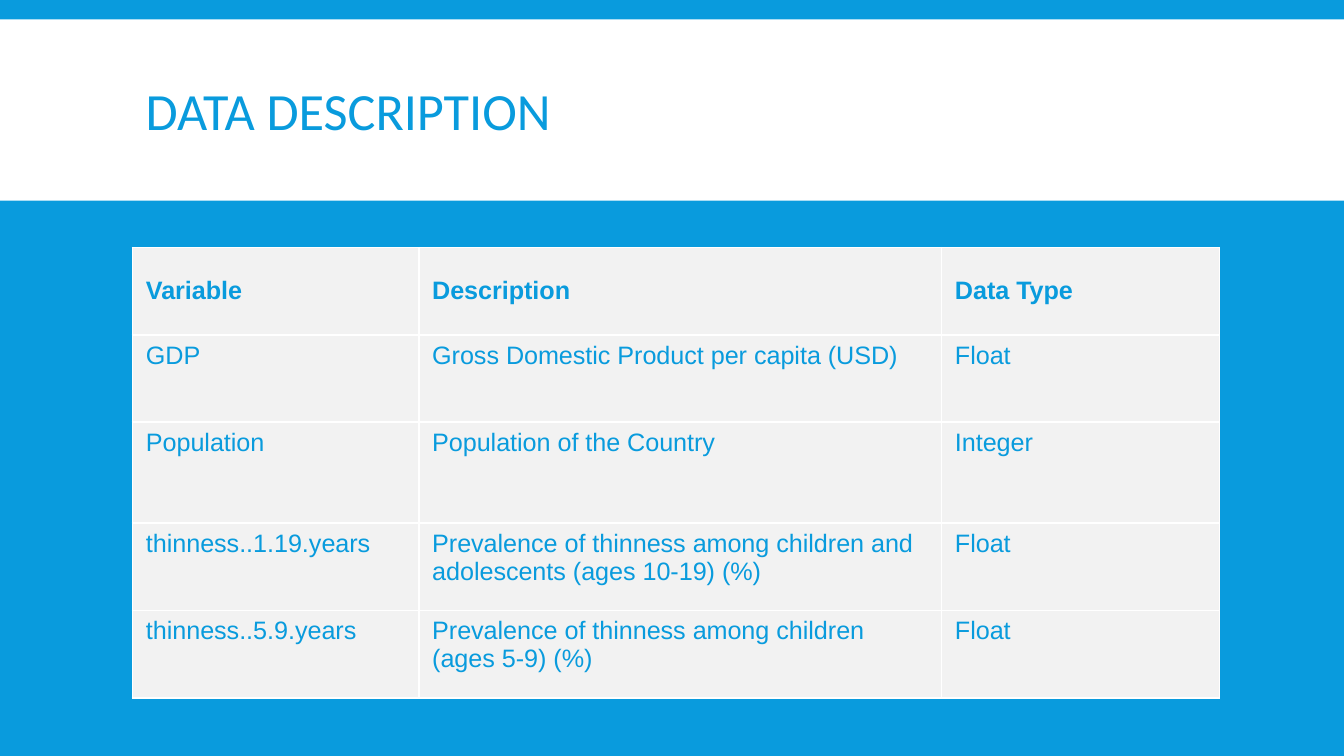
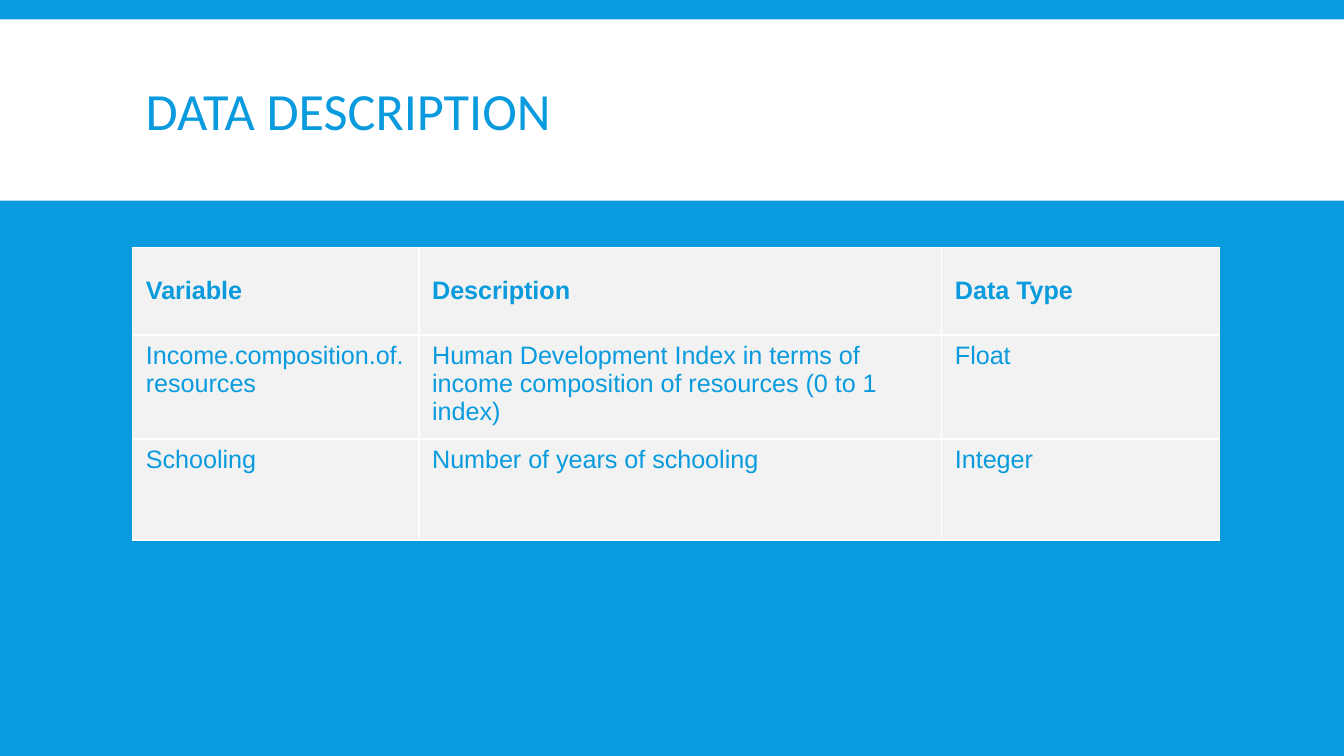
import pptx
import pptx.dml.color
import pptx.enum.shapes
import pptx.enum.text
import pptx.oxml.ns
import pptx.util
from lxml import etree

BLUE = pptx.dml.color.RGBColor(0x09, 0x9B, 0xDD)
WHITE = pptx.dml.color.RGBColor(0xFF, 0xFF, 0xFF)
PALE_GREY = pptx.dml.color.RGBColor(0xF2, 0xF2, 0xF2)

# The grid divides the slide into 100 columns and 100 rows
GRID = 100
LEFT_MARGIN = 9.86
COLUMN_WIDTHS = (21.3, 38.9, 20.7)
ROW_HEIGHT = 11.56
TALL_ROW_HEIGHT = 13.33
TALL_ROW = 2

HEADINGS = ("Variable", "Description", "Data Type")
TABLES = (
    (
        ("GDP", "Gross Domestic Product per capita (USD)", "Float"),
        ("Population", "Population of the Country", "Integer"),
        ("thinness..1.19.years",
         "Prevalence of thinness among children and adolescents (ages 10-19) (%)", "Float"),
        ("thinness..5.9.years",
         "Prevalence of thinness among children (ages 5-9) (%)", "Float"),
    ),
    (
        ("Income.composition.of.resources",
         "Human Development Index in terms of income composition of resources (0 to 1 index)",
         "Float"),
        ("Schooling", "Number of years of schooling", "Integer"),
    ),
)


class Deck:
    """Holds the shared style and the current slide."""

    title_font, title_size = "Calibri", 28
    table_font, table_size = "Arial", 13.5

    def __init__(self):
        self.presentation = pptx.Presentation()
        self.presentation.slide_width = pptx.util.Inches(10)
        # Widescreen, 16 to 9
        self.presentation.slide_height = self.presentation.slide_width * 9 // 16
        self.slide = None

    def across(self, columns):
        return round(self.presentation.slide_width * columns / GRID)

    def down(self, rows):
        return round(self.presentation.slide_height * rows / GRID)

    def box(self, left, top, width, height):
        return self.across(left), self.down(top), self.across(width), self.down(height)

    def add_slide(self):
        self.slide = self.presentation.slides.add_slide(self.presentation.slide_layouts[6])
        background = self.slide.background.fill
        background.solid()
        background.fore_color.rgb = BLUE

    def add_band(self):
        band = self.slide.shapes.add_shape(
            pptx.enum.shapes.MSO_SHAPE.RECTANGLE, *self.box(0, 2.55, GRID, 24))
        band.shadow.inherit = False
        band.fill.solid()
        band.fill.fore_color.rgb = WHITE
        band.line.fill.background()

    def add_run(self, paragraph, text, font, size, bold=False):
        run = paragraph.add_run()
        run.text = text
        run.font.name = font
        run.font.size = pptx.util.Pt(size)
        run.font.bold = bold
        run.font.color.rgb = BLUE

    def add_title(self, text):
        frame = self.slide.shapes.add_textbox(*self.box(LEFT_MARGIN, 4.15, 80.2, 22)).text_frame
        frame.word_wrap = True
        frame.vertical_anchor = pptx.enum.text.MSO_ANCHOR.MIDDLE
        paragraph = frame.paragraphs[0]
        paragraph.line_spacing = 0.85
        self.add_run(paragraph, text, self.title_font, self.title_size)

    def add_borders(self, cell):
        properties = cell._tc.get_or_add_tcPr()
        for side in ("lnL", "lnR", "lnT", "lnB"):
            line = etree.SubElement(properties, pptx.oxml.ns.qn(f"a:{side}"),
                                    w=str(pptx.util.Pt(1)))
            fill = etree.SubElement(line, pptx.oxml.ns.qn("a:solidFill"))
            etree.SubElement(fill, pptx.oxml.ns.qn("a:srgbClr"), val=str(WHITE))

    def add_table(self, variables):
        rows = (HEADINGS, *variables)
        heights = [TALL_ROW_HEIGHT if index == TALL_ROW else ROW_HEIGHT
                   for index in range(len(rows))]
        table = self.slide.shapes.add_table(
            len(rows), len(HEADINGS),
            *self.box(LEFT_MARGIN, 32.75, sum(COLUMN_WIDTHS), sum(heights))).table
        for column, width in zip(table.columns, COLUMN_WIDTHS):
            column.width = self.across(width)
        for row_index, (texts, height) in enumerate(zip(rows, heights)):
            table.rows[row_index].height = self.down(height)
            for column_index, text in enumerate(texts):
                self.fill_cell(table.cell(row_index, column_index), text, row_index == 0)

    def fill_cell(self, cell, text, is_heading):
        self.add_borders(cell)
        cell.fill.solid()
        cell.fill.fore_color.rgb = PALE_GREY
        if is_heading:
            cell.vertical_anchor = pptx.enum.text.MSO_ANCHOR.MIDDLE
        paragraph = cell.text_frame.paragraphs[0]
        self.add_run(paragraph, text, self.table_font, self.table_size, bold=is_heading)
        # The paragraph end takes the text size, so that rows grow no more than needed
        end = etree.SubElement(paragraph._p, pptx.oxml.ns.qn("a:endParaRPr"),
                               sz=str(round(self.table_size * 100)))
        etree.SubElement(end, pptx.oxml.ns.qn("a:latin"), typeface=self.table_font)


def main():
    deck = Deck()
    for variables in TABLES:
        deck.add_slide()
        deck.add_band()
        deck.add_title("DATA DESCRIPTION")
        deck.add_table(variables)
    deck.presentation.save("out.pptx")


if __name__ == "__main__":
    main()
